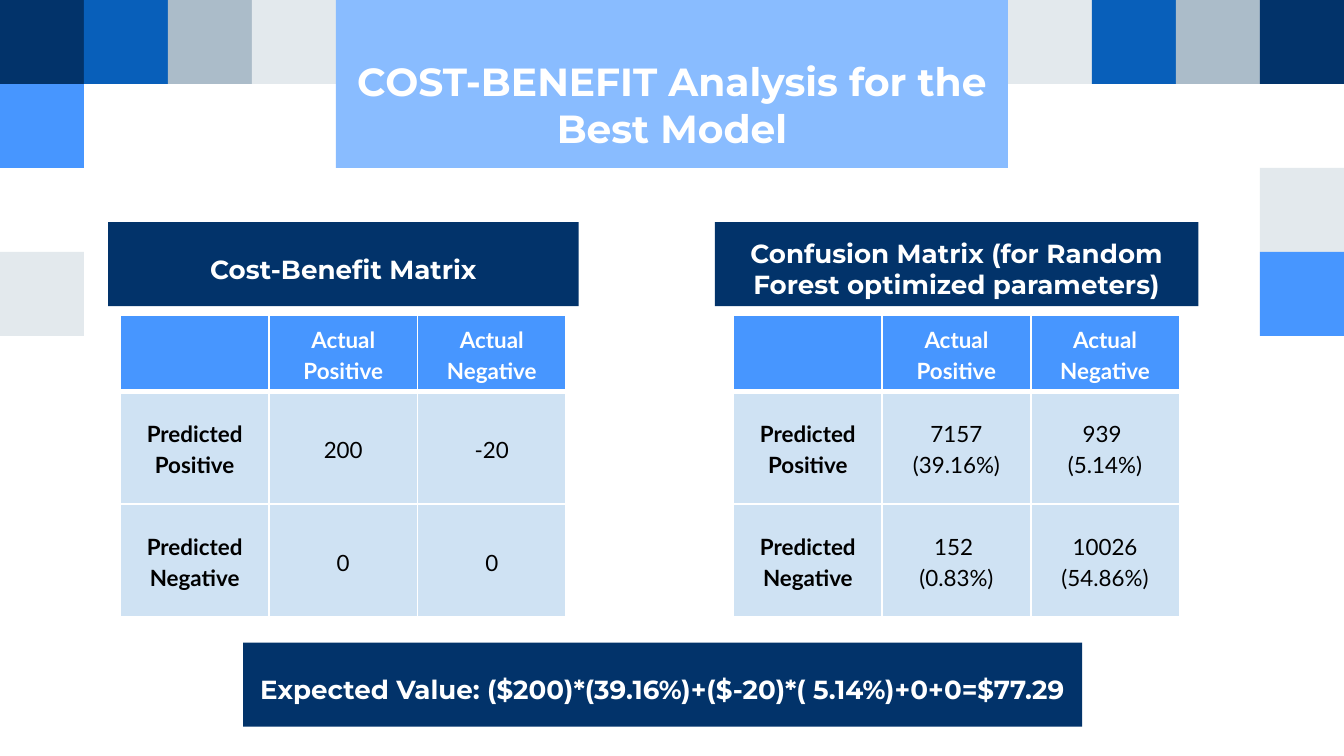
import lxml.etree
import pptx
import pptx.dml.color
import pptx.enum.shapes
import pptx.enum.text
import pptx.oxml.ns
import pptx.util

Pt = pptx.util.Pt
RGB = pptx.dml.color.RGBColor
NAVY = RGB(0x02, 0x33, 0x6A)
BLUE = RGB(0x08, 0x5F, 0xBA)
AZURE = RGB(0x47, 0x96, 0xFF)
SKY = RGB(0x89, 0xBC, 0xFF)
STEEL = RGB(0xAB, 0xBC, 0xC9)
MIST = RGB(0xE3, 0xE9, 0xED)
PALE = RGB(0xCF, 0xE2, 0xF3)
WHITE = RGB(0xFF, 0xFF, 0xFF)
BLACK = RGB(0, 0, 0)

UNIT = 45  # side of a square and height of a banner
HEAD = {"name": "Montserrat", "bold": True}
BODY = {"name": "Lato", "size": Pt(12)}


def apply(target, values):
    for name, value in values.items():
        setattr(target, name, value)


class Deck:
    """Holds the style and the current slide."""

    middle = pptx.enum.text.MSO_ANCHOR.MIDDLE
    center = pptx.enum.text.PP_ALIGN.CENTER

    def __init__(self, wide, high):
        self.show = pptx.Presentation()
        apply(self.show, {"slide_width": Pt(wide), "slide_height": Pt(high)})
        self.slide = self.show.slides.add_slide(self.show.slide_layouts[6])

    def label(self, frame, text, font, color, space=1.0):
        frame.text = text
        for para in frame.paragraphs:
            apply(para, {"alignment": self.center, "line_spacing": space})
            for run in para.runs:
                apply(run.font, font)
                run.font.color.rgb = color

    def block(self, left, top, wide, high, color):
        kind = pptx.enum.shapes.MSO_SHAPE.RECTANGLE
        shape = self.slide.shapes.add_shape(
            kind, Pt(left), Pt(top), Pt(wide), Pt(high))
        shape.shadow.inherit = False
        shape.fill.solid()
        shape.fill.fore_color.rgb = color
        shape.line.fill.background()
        return shape

    def banner(self, box, color, text, size, inset):
        frame = self.block(*box, color).text_frame
        apply(frame, {"word_wrap": True, "vertical_anchor": self.middle,
                      "margin_top": Pt(inset), "margin_bottom": 0})
        self.label(frame, text, {**HEAD, "size": Pt(size)}, WHITE)

    def border(self, cell, widths):
        props = cell._tc.get_or_add_tcPr()
        qn = pptx.oxml.ns.qn
        for side, width in widths.items():
            line = lxml.etree.SubElement(
                props, qn("a:ln" + side), w=str(Pt(width)))
            fill = lxml.etree.SubElement(line, qn("a:solidFill"))
            lxml.etree.SubElement(fill, qn("a:srgbClr"), val=str(WHITE))

    def matrix(self, left, top, wide, highs, rows):
        count = len(rows[0])
        table = self.slide.shapes.add_table(
            len(rows), count, Pt(left), Pt(top),
            Pt(wide * count), Pt(sum(highs))).table
        apply(table, {"first_row": False, "horz_banding": False})
        for col in table.columns:
            col.width = Pt(wide)
        for r, row in enumerate(rows):
            table.rows[r].height = Pt(highs[r])
            for c, text in enumerate(row):
                cell = table.cell(r, c)
                # A thick rule parts the header from the body
                self.border(cell, {"L": 1, "R": 1, "T": 3 if r == 1 else 1,
                                   "B": 3 if r == 0 else 1})
                cell.fill.solid()
                cell.fill.fore_color.rgb = PALE if r else AZURE
                cell.vertical_anchor = self.middle
                font = {**BODY, "bold": r == 0 or c == 0}
                self.label(cell.text_frame, text, font,
                           BLACK if r else WHITE, 1.15)


def main():
    deck = Deck(720, 405)

    # Squares along the edges, as column, row and colour
    squares = [(0, 1, AZURE), (0, 3, MIST), (15, 2, MIST), (15, 3, AZURE)]
    squares += [(i, 0, tint) for i, tint in enumerate((NAVY, BLUE, STEEL, MIST))]
    squares += [(12 + i, 0, tint)
                for i, tint in enumerate((MIST, BLUE, STEEL, NAVY))]
    for col, row, tint in squares:
        deck.block(col * UNIT, row * UNIT, UNIT, UNIT, tint)

    # Title
    deck.banner((4 * UNIT, 0, 8 * UNIT, 2 * UNIT), SKY,
                "COST-BENEFIT Analysis for the Best Model", 21, 21.6)

    # Banners
    banners = [
        (58, 119, 252, "Cost-Benefit Matrix"),
        (383, 119, 259,
         "Confusion Matrix (for Random Forest optimized parameters)"),
        (130.3, 344.3, 449.5,
         "Expected Value: ($200)*(39.16%)+($-20)*( 5.14%)+0+0=$77.29"),
    ]
    for left, top, wide, text in banners:
        deck.banner((left, top, wide, UNIT), NAVY, text, 14, 5)

    # Matrices share their headings
    header = ["", "Actual Positive", "Actual Negative"]
    sides = ["Predicted Positive", "Predicted Negative"]
    tables = [
        (64.5, [["200", "-20"], ["0", "0"]]),
        (393, [["7157 (39.16%)", "939 \n(5.14%)"],
               ["152 \n(0.83%)", "10026 (54.86%)"]]),
    ]
    for left, values in tables:
        body = [[side, *row] for side, row in zip(sides, values)]
        deck.matrix(left, 168.6, 79.6, (41, 60.5, 60.5), [header, *body])

    deck.show.save("out.pptx")


if __name__ == "__main__":
    main()
